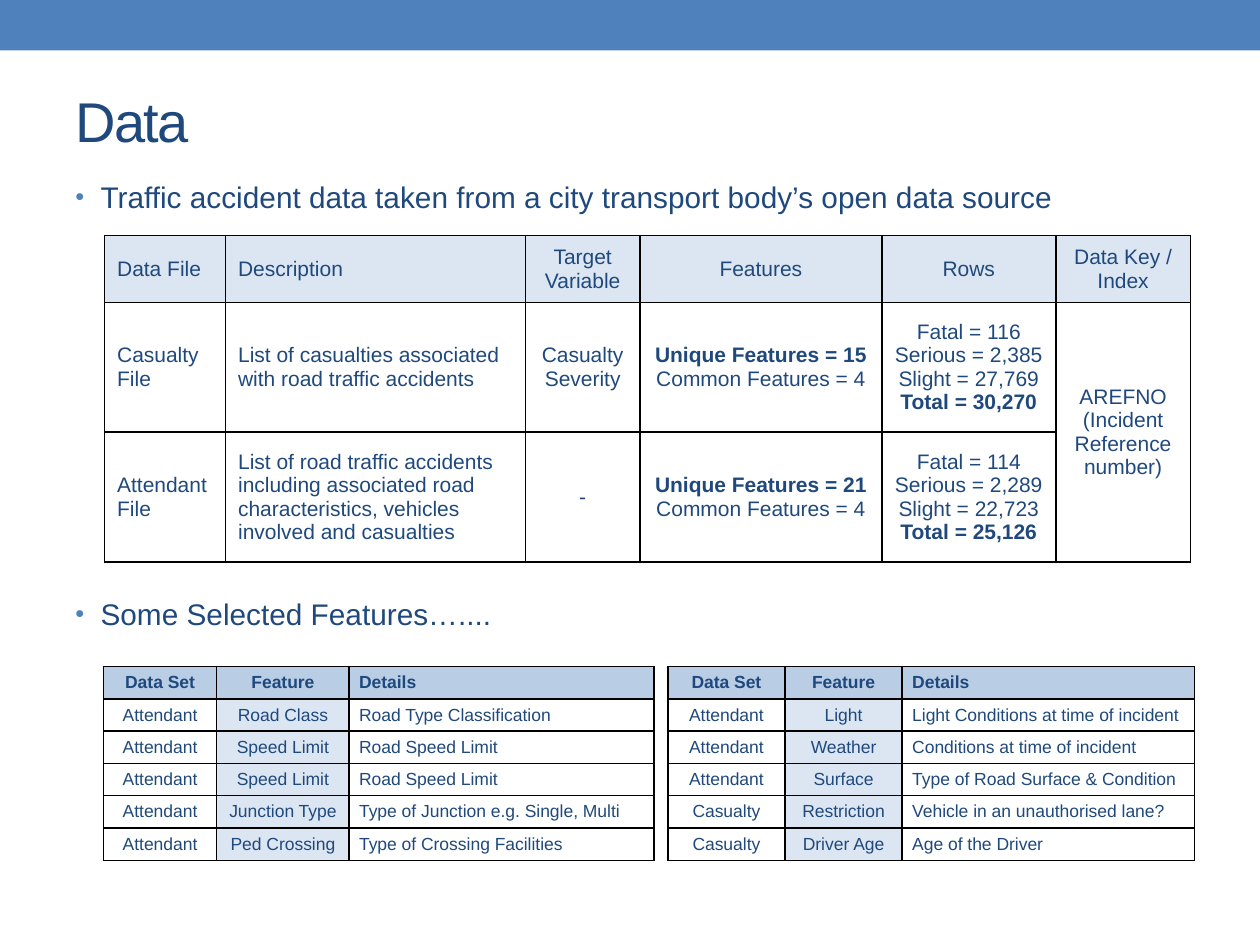
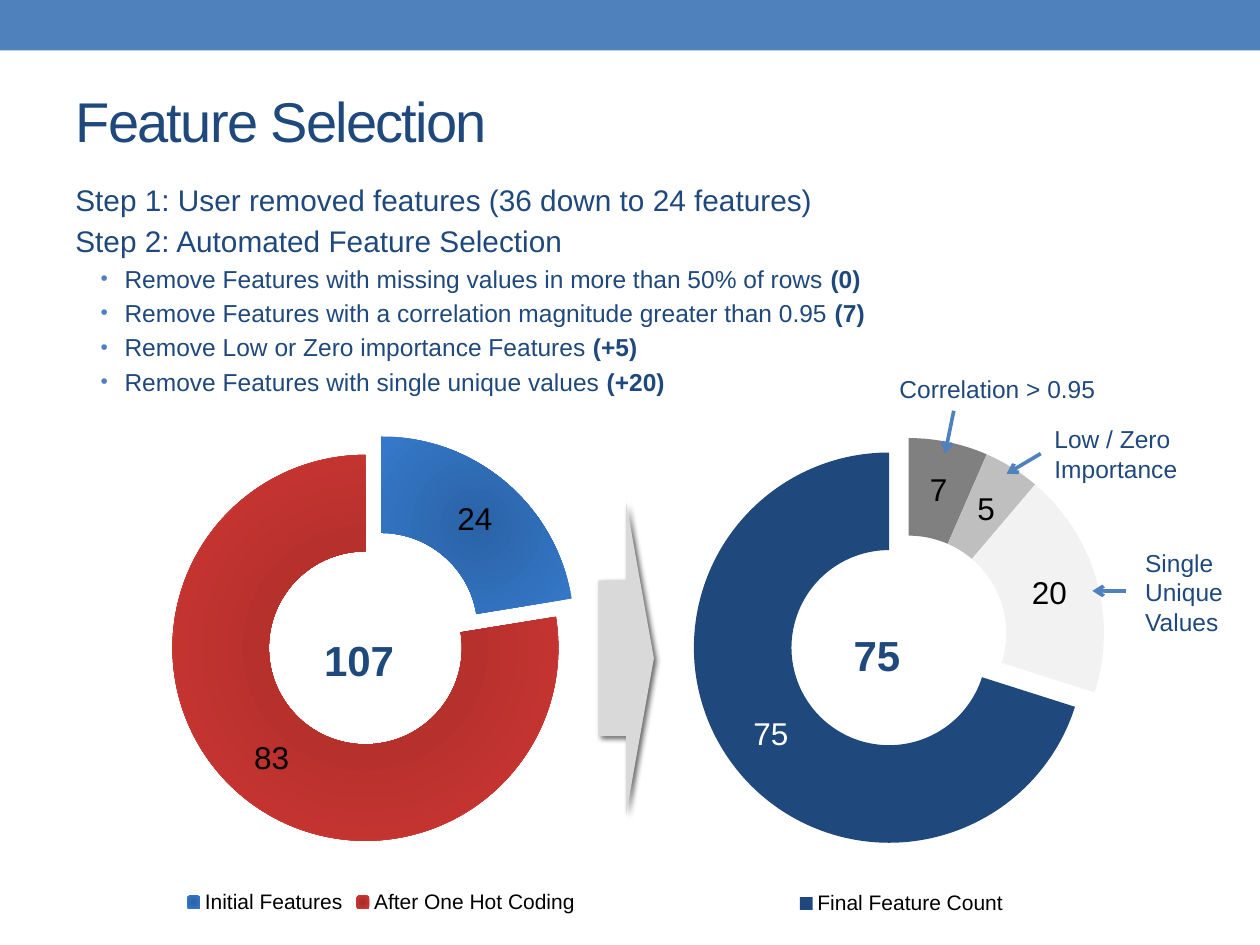
from dataclasses import dataclass

from pptx import Presentation
from pptx import util as u
from pptx.chart.data import CategoryChartData
from pptx.dml.color import RGBColor
from pptx.enum import chart as ch, shapes, text
from pptx.oxml import parse_xml
from pptx.oxml.ns import nsdecls, qn

Inches, Pt = u.Inches, u.Pt
LEFT, CENTER = text.PP_ALIGN.LEFT, text.PP_ALIGN.CENTER


@dataclass(frozen=True)
class Theme:
    font: str = "Arial"
    band: str = "4F81BD"
    ink: str = "1F497D"
    black: str = "000000"
    white: str = "FFFFFF"
    pale: str = "DCE6F2"
    header: str = "B9CDE5"
    arrow: str = "D9D9D9"
    dark_grey: str = "808080"
    mid_grey: str = "BFBFBF"
    light_grey: str = "F2F2F2"
    red: str = "C0504D"
    blue_gradient: tuple = ("2A63A6", "3679CB")
    red_gradient: tuple = ("A82B28", "CF3834")
    title_size: float = 32
    total_size: float = 24
    value_size: float = 18
    body_size: float = 17
    note_size: float = 14
    table_size: float = 12
    small_size: float = 10


THEME = Theme()


# ---------- Text ----------
def rgb(color):
    return RGBColor.from_string(color)


def style_font(font, size, color=THEME.ink, bold=None):
    font.name, font.size = THEME.font, Pt(size)
    font.color.rgb = rgb(color)
    if bold is not None:
        font.bold = bold


def add_span(para, words, size, bold=False):
    """Add one run; a leading * makes it bold."""
    span = para.add_run()
    span.text = words.removeprefix("*")
    style_font(span.font, size, bold=bold or words.startswith("*"))
    return span


def add_bullet(para, margin, hang):
    props = para._p.get_or_add_pPr()
    props.set("marL", str(Inches(margin)))
    props.set("indent", str(-Inches(hang)))
    for tag in (f'<a:buClr {nsdecls("a")}><a:srgbClr val="{THEME.band}"/></a:buClr>',
                f'<a:buSzPct {nsdecls("a")} val="85000"/>',
                f'<a:buFont {nsdecls("a")} typeface="{THEME.font}"/>',
                f'<a:buChar {nsdecls("a")} char="•"/>'):
        props.append(parse_xml(tag))


def add_body(page, top, paragraphs):
    """Each paragraph is (spans, size, space before, bullet indents or None)."""
    box = page.shapes.add_textbox(Inches(0.5), Inches(top), Inches(9.13), Inches(5.33))
    frame = box.text_frame
    frame.word_wrap = True
    for index, (spans, size, before, bullet) in enumerate(paragraphs):
        para = frame.add_paragraph() if index else frame.paragraphs[0]
        para.space_before = Pt(before)
        if bullet:
            add_bullet(para, *bullet)
        for words in spans:
            add_span(para, words, size)


def add_label(page, place, words, size, align=LEFT, wrap=True):
    box = page.shapes.add_textbox(*map(Inches, place))
    frame = box.text_frame
    frame.word_wrap = wrap
    frame.auto_size = text.MSO_AUTO_SIZE.SHAPE_TO_FIT_TEXT
    para = frame.paragraphs[0]
    para.alignment = align
    add_span(para, words, size)


# ---------- Page frame ----------
def add_page(deck, title):
    page = deck.slides.add_slide(deck.slide_layouts[5])
    holder = page.shapes.title
    holder.left, holder.top, holder.width, holder.height = map(Inches, (0.5, 0.41, 9, 1.08))
    holder.text_frame.vertical_anchor = text.MSO_ANCHOR.MIDDLE
    para = holder.text_frame.paragraphs[0]
    para.alignment = LEFT
    span = add_span(para, title, THEME.title_size)
    span._r.get_or_add_rPr().set("spc", "-100")
    add_band(page)
    return page


def add_band(page):
    band = page.shapes.add_shape(shapes.MSO_SHAPE.RECTANGLE, 0, 0, Inches(10), Inches(0.4))
    band.shadow.inherit = False
    band.fill.solid()
    band.fill.fore_color.rgb = rgb(THEME.band)
    band.line.fill.background()
    page.shapes.element.insert(2, band.element)  # behind the title


# ---------- Tables ----------
def style_cell(cell, words, size, align, fill, bold, margins):
    cell.vertical_anchor = text.MSO_ANCHOR.MIDDLE
    cell.margin_left = cell.margin_right = Inches(margins[0])
    cell.margin_top = cell.margin_bottom = Inches(margins[1])
    if fill:
        cell.fill.solid()
        cell.fill.fore_color.rgb = rgb(fill)
    else:
        cell.fill.background()
    props = cell._tc.get_or_add_tcPr()
    for index, side in enumerate("LRTB"):
        props.insert(index, parse_xml(
            f'<a:ln{side} {nsdecls("a")} w="{Pt(1)}"><a:solidFill>'
            f'<a:srgbClr val="{THEME.black}"/></a:solidFill></a:ln{side}>'))
    for index, line in enumerate(words.split("\n")):
        para = cell.text_frame.add_paragraph() if index else cell.text_frame.paragraphs[0]
        para.alignment = align
        if line:
            add_span(para, line, size, bold)


def add_grid(page, left, top, widths, heights, rows, size, aligns, header_fill,
             column_fills, header_bold=False, margins=(0.1, 0.05)):
    frame = page.shapes.add_table(len(rows), len(widths), Inches(left), Inches(top),
                                  Inches(sum(widths)), Inches(sum(heights)))
    table = frame.table
    table.first_row = table.horz_banding = False
    for column, width in zip(table.columns, widths):
        column.width = Inches(width)
    for line, height in zip(table.rows, heights):
        line.height = Inches(height)
    for r, row in enumerate(rows):
        for c, words in enumerate(row):
            fill = column_fills[c] if r else header_fill
            style_cell(table.cell(r, c), words, size, aligns[c], fill,
                       header_bold and r == 0, margins)
    return table


def add_feature_table(page, left, widths, rows):
    add_grid(page, left, 5.29, widths, [1.54 / 6] * 6,
             [("Data Set", "Feature", "Details"), *rows], THEME.small_size,
             (CENTER, CENTER, LEFT), THEME.header, (None, THEME.pale, None),
             header_bold=True, margins=(0.08, 0.04))


# ---------- Charts and arrows ----------
def set_plot_layout(chart, x, y, w, h):
    area = chart.element.find(".//" + qn("c:plotArea"))
    for old in area.findall(qn("c:layout")):
        area.remove(old)
    sizes = "".join(f'<c:{tag} val="{value}"/>' for tag, value in zip("xywh", (x, y, w, h)))
    area.insert(0, parse_xml(
        f'<c:layout {nsdecls("c")}><c:manualLayout><c:layoutTarget val="inner"/>'
        f'<c:xMode val="edge"/><c:yMode val="edge"/>{sizes}</c:manualLayout></c:layout>'))


def fill_point(point, color):
    fill = point.format.fill
    if isinstance(color, str):
        fill.solid()
        fill.fore_color.rgb = rgb(color)
        return
    fill.gradient()
    for stop, shade in zip(fill.gradient_stops, color):
        stop.color.rgb = rgb(shade)


def make_gradients_radial(chart):
    for linear in list(chart.element.iter(qn("a:lin"))):
        linear.getparent().replace(linear, parse_xml(
            f'<a:path {nsdecls("a")} path="circle">'
            '<a:fillToRect l="50000" t="50000" r="50000" b="50000"/></a:path>'))


def explode_last(chart):
    """Reserve room for exploded slices, then pull out only the last one."""
    points = list(chart.element.iter(qn("c:dPt")))
    offsets = [0] * (len(points) - 1) + [25]
    anchors = [point.find(qn("c:idx")) for point in points]
    anchors.append(chart.element.find(".//" + qn("c:ser")).find(qn("c:tx")))
    for anchor, offset in zip(anchors, offsets + [25]):
        anchor.addnext(parse_xml(f'<c:explosion {nsdecls("c")} val="{offset}"/>'))


def label_slices(chart, values, last_color):
    series = chart.plots[0].series[0]
    labels = series.data_labels
    labels.show_value, labels.show_percentage = True, False
    style_font(labels.font, THEME.value_size, THEME.black)
    style_font(series.points[len(values) - 1].data_label.font, THEME.value_size, last_color)
    holder = chart.element.find(".//" + qn("c:ser")).find(qn("c:dLbls"))
    empty = [index for index, value in enumerate(values) if value == 0]
    for place, index in enumerate(empty):
        holder.insert(place, parse_xml(
            f'<c:dLbl {nsdecls("c")}><c:idx val="{index}"/><c:delete val="1"/></c:dLbl>'))


def add_doughnut(page, place, layout, slices, hidden=0, last_label=THEME.black):
    """Slices are (name, value, colour); the first hidden ones skip the legend."""
    names, values, colors = zip(*slices)
    data = CategoryChartData()
    data.categories = names
    data.add_series("Series 1", values)
    chart = page.shapes.add_chart(ch.XL_CHART_TYPE.DOUGHNUT, *map(Inches, place), data).chart
    chart.has_title = False
    style_font(chart.font, THEME.value_size, THEME.black)
    set_plot_layout(chart, *layout)

    plot = chart.plots[0]
    plot.vary_by_categories = True
    for index, color in enumerate(colors):
        fill_point(plot.series[0].points[index], color)
    make_gradients_radial(chart)
    explode_last(chart)
    label_slices(chart, values, last_label)

    chart.has_legend = True
    legend = chart.legend
    legend.position = ch.XL_LEGEND_POSITION.BOTTOM
    legend.include_in_layout = False
    style_font(legend.font, THEME.table_size, THEME.black)
    position = chart.element.find(".//" + qn("c:legendPos"))
    for index in reversed(range(hidden)):
        position.addnext(parse_xml(
            f'<c:legendEntry {nsdecls("c")}><c:idx val="{index}"/>'
            '<c:delete val="1"/></c:legendEntry>'))


def add_pointer(page, start, end):
    line = page.shapes.add_connector(shapes.MSO_CONNECTOR.STRAIGHT,
                                     *map(Inches, (*start, *end)))
    line.line.color.rgb = rgb(THEME.band)
    line.line.width = Pt(2.08)
    line.line._get_or_add_ln().append(parse_xml(f'<a:tailEnd {nsdecls("a")} type="arrow"/>'))
    line._element.spPr.append(parse_xml(f'<a:effectLst {nsdecls("a")}/>'))


def add_block_arrow(page, place):
    arrow = page.shapes.add_shape(shapes.MSO_SHAPE.RIGHT_ARROW, *map(Inches, place))
    arrow.fill.solid()
    arrow.fill.fore_color.rgb = rgb(THEME.arrow)
    arrow.line.fill.background()
    arrow._element.spPr.append(parse_xml(
        f'<a:effectLst {nsdecls("a")}><a:outerShdw blurRad="{Pt(3)}" dist="{Pt(2)}" '
        f'dir="2700000"><a:srgbClr val="{THEME.black}"><a:alpha val="60000"/></a:srgbClr>'
        '</a:outerShdw></a:effectLst>'))


# ---------- Slides ----------
def build_data_page(deck):
    page = add_page(deck, "Data")
    bullet = (0.2, 0.2)
    add_body(page, 1.37, [
        (["Traffic accident data taken from a city transport body’s open data source"],
         THEME.body_size, 3.4, bullet),
        (["Some Selected Features…...."], THEME.body_size, 218, bullet)])
    files = add_grid(
        page, 0.83, 1.87, (0.96, 2.38, 0.91, 1.92, 1.38, 1.07), (0.53, 1.03, 1.03),
        [("Data File", "Description", "Target Variable", "Features", "Rows",
          "Data Key / Index"),
         ("Casualty File", "List of casualties associated with road traffic accidents",
          "Casualty Severity", "*Unique Features = 15\nCommon Features = 4",
          "Fatal = 116\nSerious = 2,385\nSlight = 27,769\n*Total = 30,270",
          "AREFNO\n(Incident Reference number)"),
         ("Attendant File", "List of road traffic accidents including associated road "
          "characteristics, vehicles involved and casualties",
          "-", "*Unique Features = 21\nCommon Features = 4",
          "Fatal = 114\nSerious = 2,289\nSlight = 22,723\n*Total = 25,126", "")],
        THEME.table_size, (LEFT, LEFT) + (CENTER,) * 4, THEME.pale, (None,) * 6)
    files.cell(1, 5).merge(files.cell(2, 5))

    add_feature_table(page, 0.82, (0.9, 1.05, 2.42), [
        ("Attendant", "Road Class", "Road Type Classification"),
        *[("Attendant", "Speed Limit", "Road Speed Limit")] * 2,
        ("Attendant", "Junction Type", "Type of Junction e.g. Single, Multi"),
        ("Attendant", "Ped Crossing", "Type of Crossing Facilities")])
    add_feature_table(page, 5.3, (0.93, 0.93, 2.32), [
        ("Attendant", "Light", "Light Conditions at time of incident"),
        ("Attendant", "Weather", "Conditions at time of incident"),
        ("Attendant", "Surface", "Type of Road Surface & Condition"),
        ("Casualty", "Restriction", "Vehicle in an unauthorised lane?"),
        ("Casualty", "Driver Age", "Age of the Driver")])


def build_selection_page(deck):
    page = add_page(deck, "Feature Selection")
    steps = ["Step 1: User removed features (36 down to 24 features)",
             "Step 2: Automated Feature Selection"]
    removals = [("Remove Features with missing values in more than 50% of rows ", "*(0)"),
                ("Remove Features with a correlation magnitude greater than 0.95 ", "*(7)"),
                ("Remove Low or Zero importance Features ", "*(+5)"),
                ("Remove Features with single unique values ", "*(+20)")]
    add_body(page, 1.39, [([step], THEME.body_size, 3.4, None) for step in steps]
             + [(spans, THEME.note_size, 2.8, (0.39, 0.19)) for spans in removals])

    # Doughnuts with their totals
    add_doughnut(page, (1.11, 3.12, 3.83, 4.17), (0.05, 0.01, 0.9, 0.88),
                 [("Initial Features", 24, THEME.blue_gradient),
                  ("After One Hot Coding", 83, THEME.red_gradient)])
    add_doughnut(page, (5.24, 3.24, 3.83, 4.06), (0.06, 0, 0.91, 0.88),
                 [("Step 1", 0, THEME.dark_grey), ("Step 2", 0, THEME.red),
                  ("Step 3", 7, THEME.dark_grey), ("Step 4", 5, THEME.mid_grey),
                  ("Step 5", 20, THEME.light_grey), ("Step 6", 0, THEME.ink),
                  ("Final Feature Count", 75, THEME.ink)],
                 hidden=6, last_label=THEME.white)
    add_label(page, (2.47, 4.99, 0.76, 0.5), "*107", THEME.total_size, CENTER)
    add_label(page, (6.58, 4.95, 0.76, 0.5), "*75", THEME.total_size, CENTER)
    add_block_arrow(page, (4.75, 3.99, 0.44, 2.47))

    # Callouts for the removed features
    add_label(page, (7.04, 2.92, 1.77, 0.34), "Correlation > 0.95", THEME.note_size, wrap=False)
    add_label(page, (8.27, 3.32, 1.28, 0.57), "Low / Zero Importance", THEME.note_size)
    add_label(page, (8.99, 4.3, 0.86, 0.81), "Single Unique Values", THEME.note_size)
    for start, end in (((7.57, 3.26), (7.5, 3.6)), ((8.26, 3.6), (7.99, 3.76)),
                       ((8.94, 4.69), (8.67, 4.69))):
        add_pointer(page, start, end)


def main():
    deck = Presentation()
    deck.slide_width, deck.slide_height = Inches(10), Inches(7.5)
    build_data_page(deck)
    build_selection_page(deck)
    deck.save("out.pptx")


if __name__ == "__main__":
    main()
